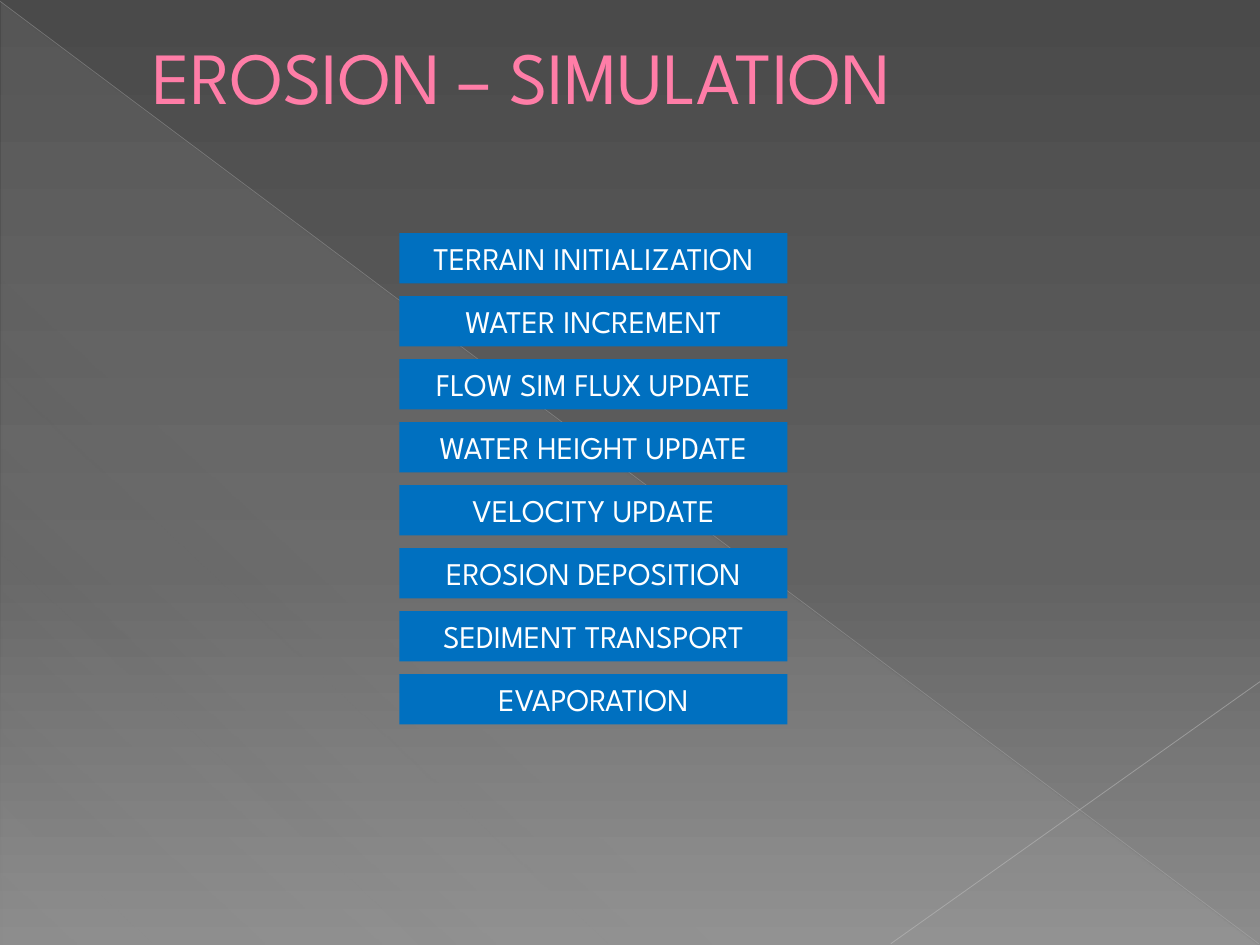
import pptx
import pptx.util
from lxml import etree
from pptx.dml.color import RGBColor
from pptx.enum.shapes import MSO_CONNECTOR, MSO_SHAPE
from pptx.enum.text import MSO_ANCHOR, MSO_AUTO_SIZE, PP_ALIGN
from pptx.oxml.ns import qn
from pptx.util import Inches, Pt

FONT = "League Spartan"
PINK = RGBColor(0xFF, 0x7D, 0xA7)
PINK_EDGE = RGBColor(0xB1, 0x27, 0x61)
BLUE = RGBColor(0x00, 0x70, 0xC0)
WHITE = RGBColor(0xFF, 0xFF, 0xFF)
DARK = RGBColor(0x4A, 0x4A, 0x4A)
MID = RGBColor(0x62, 0x62, 0x62)
LIGHT = RGBColor(0x8C, 0x8C, 0x8C)
VEIL = RGBColor(0xD2, 0xD2, 0xD2)
LONG_LINE = RGBColor(0xBF, 0xBF, 0xBF)
SHORT_LINE = RGBColor(0xC6, 0xC6, 0xC6)

TITLE_FORMAT = {"name": FONT, "size": Pt(42)}
STEP_FORMAT = {"name": FONT, "size": Pt(18)}
STEPS = [
    "TERRAIN INITIALIZATION",
    "WATER INCREMENT",
    "FLOW SIM FLUX UPDATE",
    "WATER HEIGHT UPDATE",
    "VELOCITY UPDATE",
    "EROSION DEPOSITION",
    "SEDIMENT TRANSPORT",
    "EVAPORATION",
]


def format_font(font, values, color):
    for name, value in values.items():
        setattr(font, name, value)
    font.color.rgb = color


def add_color(parent, color, opacity=100):
    clr = etree.SubElement(parent, qn("a:srgbClr"), val=str(color))
    if opacity < 100:
        etree.SubElement(clr, qn("a:alpha"), val=str(opacity * 1000))


def set_gradient(fill, element, stops, angle):
    """Fill with (position, colour, opacity) stops; angle runs clockwise."""
    fill.gradient()
    fill.gradient_angle = 360 - angle
    gs_list = element.find(f".//{qn('a:gsLst')}")
    for gs in list(gs_list):
        gs_list.remove(gs)
    for position, color, opacity in stops:
        gs = etree.SubElement(gs_list, qn("a:gs"), pos=str(position * 1000))
        add_color(gs, color, opacity)


def add_thin_line(s, start, end, color, width, opacity):
    line = s.shapes.add_connector(
        MSO_CONNECTOR.STRAIGHT, *map(Inches, start + end))
    line.line.width = Pt(width)
    line.line.color.rgb = color
    sp_pr = line._element.spPr
    clr = sp_pr.find(f".//{qn('a:srgbClr')}")
    etree.SubElement(clr, qn("a:alpha"), val=str(opacity * 1000))
    etree.SubElement(sp_pr, qn("a:effectLst"))


def add_backdrop(s, left, top, width, height):
    set_gradient(s.background.fill, s._element,
                 [(0, DARK, 100), (60, MID, 100), (100, LIGHT, 100)], 90)
    sp = s.shapes.add_shape(MSO_SHAPE.RIGHT_TRIANGLE,
                            *map(Inches, (left, top, width, height)))
    sp.shadow.inherit = False
    sp.line.fill.background()
    set_gradient(sp.fill, sp._element,
                 [(0, VEIL, 10), (70, VEIL, 8), (100, VEIL, 1)], 133)
    right, bottom = left + width, top + height
    add_thin_line(s, (0, 0.01), (right, bottom - 0.01), LONG_LINE, 0.39, 35)
    add_thin_line(s, (10, 5.41), (7.07, bottom - 0.01), SHORT_LINE, 0.47, 45)


def add_title(s, text, left, top, width, height):
    box = s.shapes.add_textbox(*map(Inches, (left, top, width, height)))
    tf = box.text_frame
    tf.word_wrap = True
    tf.vertical_anchor = MSO_ANCHOR.MIDDLE
    p = tf.paragraphs[0]
    p_pr = p._p.get_or_add_pPr()
    p_pr.set("marL", str(Inches(0.53)))
    p_pr.set("indent", "0")
    r = p.add_run()
    r.text = text
    format_font(r.font, TITLE_FORMAT, PINK)
    outline = etree.Element(qn("a:ln"), w=str(Pt(0.5)))
    add_color(etree.SubElement(outline, qn("a:solidFill")), PINK_EDGE)
    r._r.get_or_add_rPr().insert(0, outline)


def add_steps(s, steps, left, top, width, height, pitch):
    for i, step in enumerate(steps):
        sp = s.shapes.add_shape(
            MSO_SHAPE.RECTANGLE,
            *map(Inches, (left, top + i * pitch, width, height)))
        sp.shadow.inherit = False
        sp.fill.solid()
        sp.fill.fore_color.rgb = BLUE
        sp.line.fill.background()
        tf = sp.text_frame
        tf.word_wrap = True
        tf.auto_size = MSO_AUTO_SIZE.SHAPE_TO_FIT_TEXT
        tf.vertical_anchor = MSO_ANCHOR.TOP
        p = tf.paragraphs[0]
        p.alignment = PP_ALIGN.CENTER
        r = p.add_run()
        r.text = step
        format_font(r.font, STEP_FORMAT, WHITE)


def main():
    prs = pptx.Presentation()
    prs.slide_width, prs.slide_height = Inches(10), Inches(7.5)
    s = prs.slides.add_slide(prs.slide_layouts[6])
    add_backdrop(s, 0.01, 0.02, 9.98, 7.48)
    add_title(s, "EROSION – SIMULATION", 0.58, -0.17, 9, 1.53)
    add_steps(s, STEPS, 3.17, 1.85, 3.08, 0.4, pitch=0.5)
    prs.save("out.pptx")


if __name__ == "__main__":
    main()
